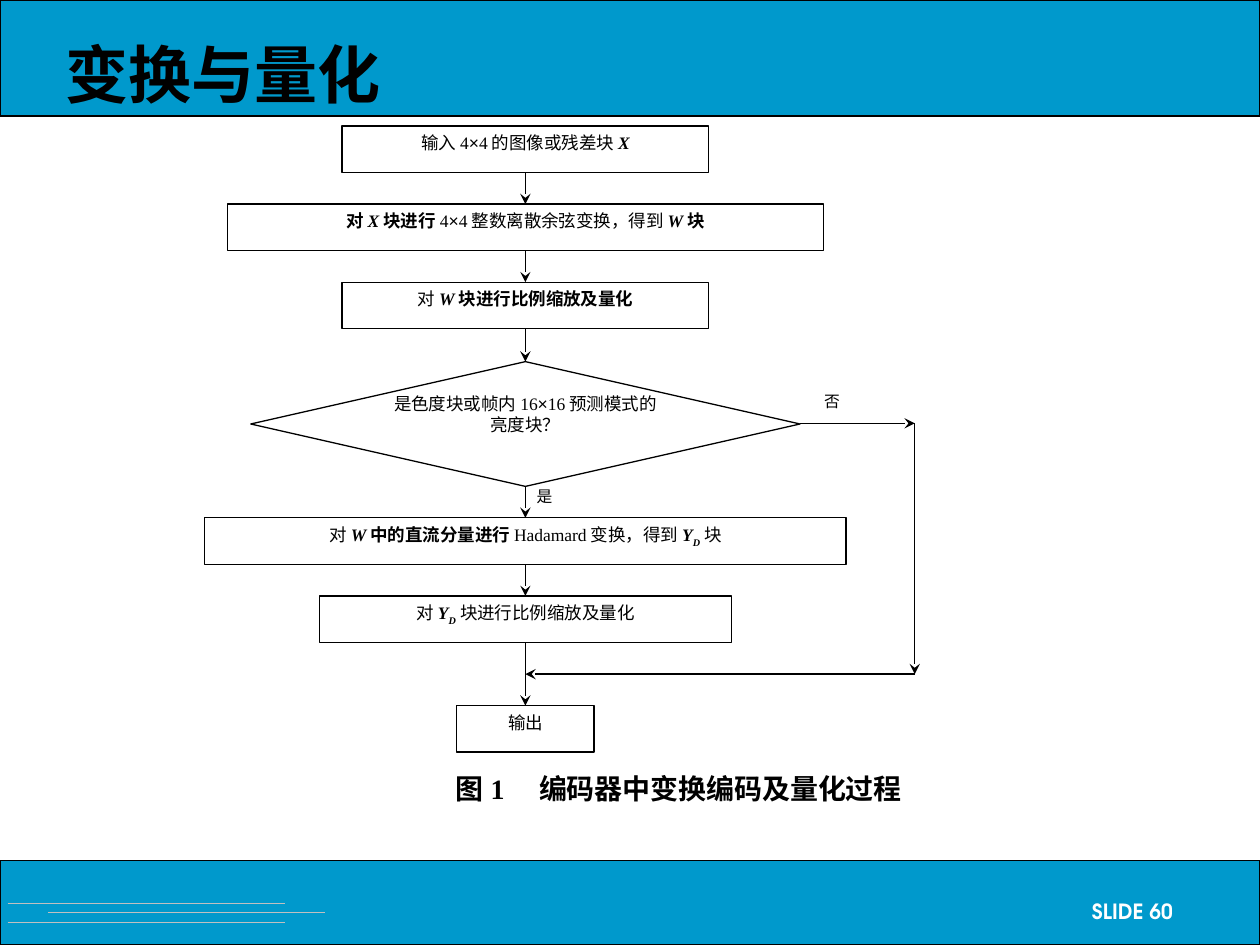
from dataclasses import dataclass

from lxml import etree
from pptx import Presentation
from pptx.dml.color import RGBColor
from pptx.enum.shapes import MSO_CONNECTOR, MSO_SHAPE
from pptx.enum.text import MSO_ANCHOR, PP_ALIGN
from pptx.oxml.ns import qn
from pptx.util import Inches, Pt

RECTANGLE = MSO_SHAPE.RECTANGLE
DECISION = MSO_SHAPE.FLOWCHART_DECISION
STRAIGHT = MSO_CONNECTOR.STRAIGHT
LEFT, CENTER, RIGHT = PP_ALIGN.LEFT, PP_ALIGN.CENTER, PP_ALIGN.RIGHT
TOP, MIDDLE = MSO_ANCHOR.TOP, MSO_ANCHOR.MIDDLE

BLACK, WHITE, BLUE, GRAY = "000000", "FFFFFF", "0099CC", "C0C0C0"
SERIF, SANS, CJK = "Times New Roman", "Arial", "Noto Sans CJK SC"
FOOTER_FONT = "TeX Gyre Adventor"

AXIS = 4.17
STEP_HEIGHT = 0.37
DECISION_TOP, DECISION_HEIGHT, DECISION_WIDTH = 2.87, 0.99, 4.36
DECISION_MIDDLE = 3.36
BYPASS_X, MERGE_Y = 7.26, 5.35


@dataclass(frozen=True)
class Run:
    """A piece of text with one character style."""
    text: str
    bold: bool = False
    italic: bool = False
    subscript: bool = False
    font: str = SERIF


@dataclass(frozen=True)
class Step:
    """A process box centred on the flow axis."""
    top: float
    width: float
    runs: tuple[Run, ...]


@dataclass(frozen=True)
class Label:
    """A free text with its frame and style."""
    left: float
    top: float
    width: float
    height: float
    run: Run
    size: float
    margin: float = 0
    anchor: MSO_ANCHOR = TOP
    align: PP_ALIGN = LEFT
    color: str = BLACK


def variable(name: str) -> Run:
    """Return a bold italic symbol."""
    return Run(name, bold=True, italic=True)


TIMES = Run("×", font=SANS)
Y_D = (variable("Y"), Run("D", bold=True, italic=True, subscript=True))

STEPS = (
    Step(1, 2.91, (Run("输入4"), TIMES, Run("4的图像或残差块"), variable("X"))),
    Step(1.62, 4.73, (Run("对", bold=True), variable("X"), Run("块进行", bold=True),
                      Run("4"), TIMES, Run("4整数离散余弦变换，得到"),
                      variable("W"), Run("块", bold=True))),
    Step(2.24, 2.91, (Run("对"), variable("W"), Run("块进行比例缩放及量化", bold=True))),
    Step(4.11, 5.09, (Run("对"), variable("W"), Run("中的直流分量进行", bold=True),
                      Run("Hadamard变换，得到"), *Y_D, Run("块"))),
    Step(4.73, 3.27, (Run("对"), *Y_D, Run("块进行比例缩放及量化"))),
    Step(5.6, 1.09, (Run("输出"),)),
)
QUESTION = (Run("是色度块或帧内16"), TIMES, Run("16预测模式的亮度块？"))

LABELS = (
    Label(0.42, 0.17, 7.17, 0.83, Run("变换与量化", bold=True, font=CJK), 36, 0.1, MIDDLE),
    Label(4.26, 3.86, 0.18, 0.25, Run("是"), 9),
    Label(6.54, 3.11, 0.18, 0.25, Run("否"), 9),
    Label(3.52, 6.06, 3.9, 0.4, Run("图1　编码器中变换编码及量化过程", bold=True), 16, 0.1, MIDDLE),
    Label(7.58, 7.02, 1.73, 0.42, Run("SLIDE 60", bold=True, font=FOOTER_FONT), 12, 0,
          MIDDLE, RIGHT, WHITE),
)


def rgb(color: str) -> RGBColor:
    """Turn a hex string into a colour."""
    return RGBColor.from_string(color)


def write_text(shape, runs, size, margin=0.1, anchor=TOP, align=CENTER, color=BLACK):
    """Write styled runs into the first paragraph of a shape."""
    frame = shape.text_frame
    frame.word_wrap = True
    frame.vertical_anchor = anchor
    frame.margin_left = frame.margin_right = Inches(margin)
    frame.margin_top = frame.margin_bottom = Inches(margin / 2)
    paragraph = frame.paragraphs[0]
    paragraph.alignment = align
    for item in runs:
        run = paragraph.add_run()
        run.text = item.text
        font = run.font
        font.name, font.size = item.font, Pt(size)
        font.bold, font.italic = item.bold, item.italic
        font.color.rgb = rgb(color)
        properties = font._element
        etree.SubElement(properties, qn("a:ea")).set("typeface", CJK)
        if item.subscript:
            properties.set("baseline", "-30000")


def add_block(slide, kind, left, top, width, height, fill=WHITE):
    """Draw a filled shape with a thin black outline."""
    shape = slide.shapes.add_shape(kind, Inches(left), Inches(top), Inches(width), Inches(height))
    shape.shadow.inherit = False
    shape.fill.solid()
    shape.fill.fore_color.rgb = rgb(fill)
    shape.line.color.rgb = rgb(BLACK)
    shape.line.width = Pt(0.74)
    return shape


def add_line(slide, start, end, color=BLACK, width=0.74, arrow=True):
    """Draw a straight line, by default with an arrowhead at its end."""
    points = [Inches(value) for value in (*start, *end)]
    connector = slide.shapes.add_connector(STRAIGHT, *points)
    connector.line.color.rgb = rgb(color)
    connector.line.width = Pt(width)
    if arrow:
        outline = connector.line._get_or_add_ln()
        etree.SubElement(outline, qn("a:tailEnd")).set("type", "stealth")
    etree.SubElement(connector._element.spPr, qn("a:effectLst"))


def add_label(slide, label: Label):
    """Place a free text."""
    box = slide.shapes.add_textbox(Inches(label.left), Inches(label.top),
                                   Inches(label.width), Inches(label.height))
    write_text(box, (label.run,), label.size, label.margin, label.anchor, label.align, label.color)


def add_bands(slide):
    """Draw the header and footer bands with the footer lines."""
    for top, height in ((0, 0.92), (6.83, 0.67)):
        add_block(slide, RECTANGLE, 0, top, 10, height, BLUE)
    for left, y in ((0.06, 7.17), (0.38, 7.24), (0.06, 7.32)):
        add_line(slide, (left, y), (left + 2.2, y), GRAY, 0.26, arrow=False)


def add_flowchart(slide):
    """Draw the steps, the decision and the arrows joining them."""
    for step in STEPS:
        shape = add_block(slide, RECTANGLE, AXIS - step.width / 2, step.top,
                          step.width, STEP_HEIGHT)
        write_text(shape, step.runs, 10)
    decision = add_block(slide, DECISION, AXIS - DECISION_WIDTH / 2, DECISION_TOP,
                         DECISION_WIDTH, DECISION_HEIGHT)
    write_text(decision, QUESTION, 10, margin=0)

    spans = [(step.top, STEP_HEIGHT) for step in STEPS]
    spans = sorted(spans + [(DECISION_TOP, DECISION_HEIGHT)])
    for (top, height), (next_top, _) in zip(spans, spans[1:]):
        add_line(slide, (AXIS, top + height), (AXIS, next_top))

    bypass = ((AXIS + DECISION_WIDTH / 2, DECISION_MIDDLE), (BYPASS_X, DECISION_MIDDLE),
              (BYPASS_X, MERGE_Y), (AXIS, MERGE_Y))
    for start, end in zip(bypass, bypass[1:]):
        add_line(slide, start, end)


def main():
    """Build the slide and save it."""
    presentation = Presentation()
    presentation.slide_width, presentation.slide_height = Inches(10), Inches(7.5)
    slide = presentation.slides.add_slide(presentation.slide_layouts[6])
    add_bands(slide)
    add_flowchart(slide)
    for label in LABELS:
        add_label(slide, label)
    presentation.save("out.pptx")


main()
